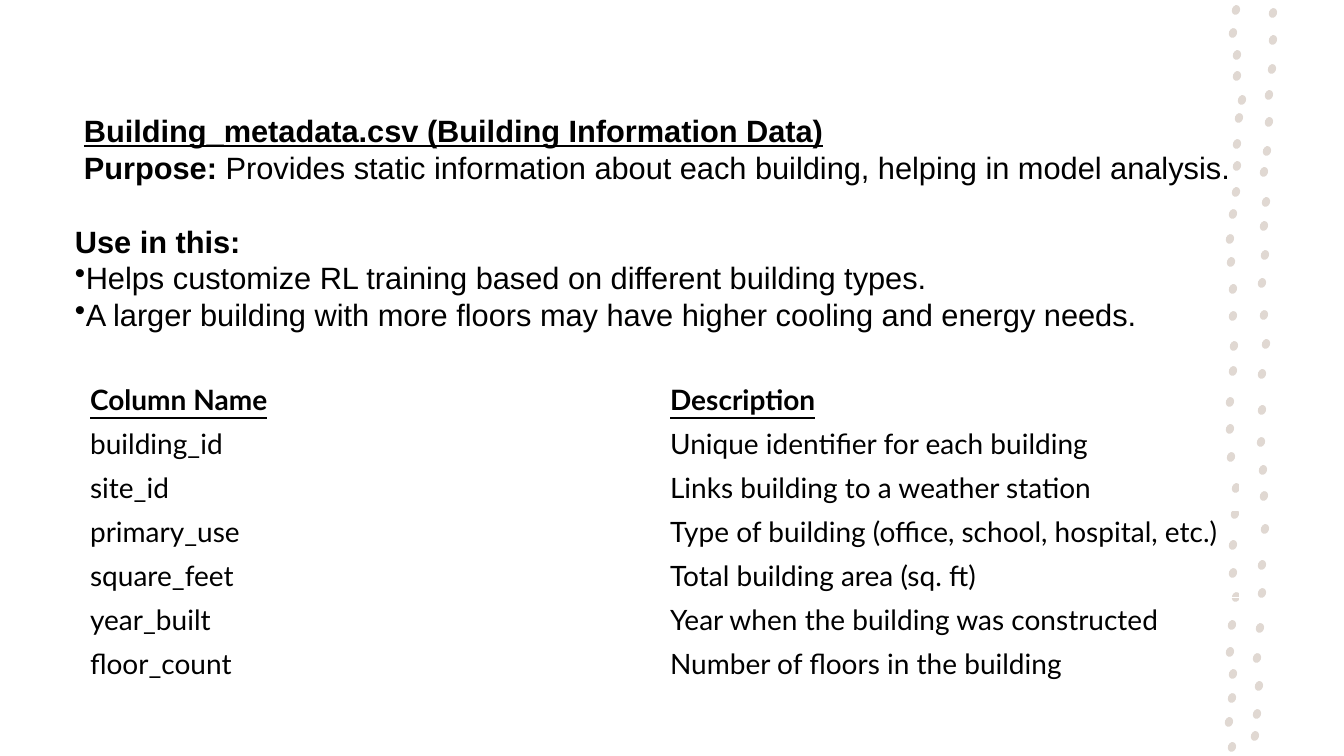
from dataclasses import dataclass

from pptx import Presentation
from pptx.dml.color import RGBColor
from pptx.enum.shapes import MSO_SHAPE
from pptx.enum.text import MSO_ANCHOR
from pptx.oxml.ns import qn
from pptx.util import Pt
from lxml.etree import SubElement

INTRO = [
    {"runs": [("Building_metadata.csv (Building Information Data)", True, True)], "indent": 9},
    {"runs": [
        ("Purpose: ", True, False),
        ("Provides static information about each building, helping in model analysis.", False, False),
    ], "indent": 9, "gap_after": 37},
    {"runs": [("Use in this:", True, False)]},
    {"runs": [("Helps customize RL training based on different building types.", False, False)],
     "bullet": True},
    {"runs": [("A larger building with more floors may have higher cooling and energy needs.",
               False, False)], "bullet": True},
]

COLUMNS = [
    ("Column Name", "Description"),
    ("building_id", "Unique identifier for each building"),
    ("site_id", "Links building to a weather station"),
    ("primary_use", "Type of building (office, school, hospital, etc.)"),
    ("square_feet", "Total building area (sq. ft)"),
    ("year_built", "Year when the building was constructed"),
    ("floor_count", "Number of floors in the building"),
]

LEFT_DOTS = [
    (1236, 10), (1233, 33), (1237, 55), (1237, 76), (1242, 100), (1239, 118),
    (1237, 144), (1237, 166), (1236, 192), (1233, 214), (1230, 239), (1231, 262),
    (1233, 289), (1233, 316), (1234, 346), (1233, 371), (1230, 402), (1230, 429),
    (1231, 457), (1236, 488), (1235, 514), (1233, 545), (1233, 573), (1236, 597),
    (1232, 625), (1230, 652), (1233, 674), (1232, 698), (1229, 722), (1232, 747),
]
RIGHT_DOTS = [
    (1273, 13), (1273, 40), (1272, 69), (1269, 95), (1269, 122), (1267, 151),
    (1264, 172), (1266, 202), (1264, 226), (1265, 255), (1262, 283), (1264, 315),
    (1266, 344), (1262, 374), (1262, 410), (1261, 442), (1263, 470), (1264, 496),
    (1265, 529), (1262, 565), (1262, 593), (1260, 628), (1257, 658), (1259, 686),
    (1257, 714), (1255, 736),
]
DOT_WIDTH, DOT_HEIGHT, DOT_TILT = 8, 10, 20

SLIDE_SIZE = (1344, 756)
INTRO_BOX = (65, 107, 1190, 271)
TABLE_LEFT, TABLE_TOP, TABLE_WIDTH, ROW_HEIGHT = 80, 378, 1160, 44


@dataclass(frozen=True)
class Theme:
    text: RGBColor = RGBColor(0x00, 0x00, 0x00)
    dot: RGBColor = RGBColor(0xE0, 0xD8, 0xD2)
    intro_font: str = "Arial"
    table_font: str = "Lato"
    intro_size: int = 22
    table_size: int = 20


THEME = Theme()


def px(length):
    return round(length * 914400 / 100.8)


def style_font(font, name, size):
    font.name = name
    font.size = Pt(size)
    font.color.rgb = THEME.text


def add_dots(slide):
    for center_x, center_y in LEFT_DOTS + RIGHT_DOTS:
        dot = slide.shapes.add_shape(
            MSO_SHAPE.OVAL,
            px(center_x - DOT_WIDTH / 2), px(center_y - DOT_HEIGHT / 2),
            px(DOT_WIDTH), px(DOT_HEIGHT))
        dot.rotation = DOT_TILT
        dot.shadow.inherit = False
        dot.fill.solid()
        dot.fill.fore_color.rgb = THEME.dot
        dot.line.fill.background()


def add_table(slide):
    table = slide.shapes.add_table(
        len(COLUMNS), len(COLUMNS[0]), px(TABLE_LEFT), px(TABLE_TOP),
        px(TABLE_WIDTH), px(ROW_HEIGHT * len(COLUMNS))).table
    table.first_row = False
    table.horz_banding = False
    for row_index, row in enumerate(COLUMNS):
        for column_index, text in enumerate(row):
            cell = table.cell(row_index, column_index)
            cell.text = text
            cell.fill.background()
            cell.vertical_anchor = MSO_ANCHOR.MIDDLE
            font = cell.text_frame.paragraphs[0].font
            style_font(font, THEME.table_font, THEME.table_size)
            font.bold = font.underline = row_index == 0


def add_intro(slide):
    frame = slide.shapes.add_textbox(*map(px, INTRO_BOX)).text_frame
    frame.word_wrap = True
    frame.vertical_anchor = MSO_ANCHOR.TOP
    for index, item in enumerate(INTRO):
        paragraph = frame.add_paragraph() if index else frame.paragraphs[0]
        style_font(paragraph.font, THEME.intro_font, THEME.intro_size)
        paragraph.space_after = Pt(round(item.get("gap_after", 0) / 1.4))
        properties = paragraph._p.get_or_add_pPr()
        properties.set("marL", str(px(item.get("indent", 0))))
        properties.set("indent", "0")
        if item.get("bullet"):
            bullet = SubElement(properties, qn("a:buChar"), char="•")
            properties.find(qn("a:defRPr")).addprevious(bullet)
        for text, bold, underline in item["runs"]:
            run = paragraph.add_run()
            run.text = text
            run.font.bold = bold
            run.font.underline = underline


def main():
    presentation = Presentation()
    presentation.slide_width, presentation.slide_height = map(px, SLIDE_SIZE)
    slide = presentation.slides.add_slide(presentation.slide_layouts[6])
    add_dots(slide)
    add_table(slide)
    add_intro(slide)
    presentation.save("out.pptx")


if __name__ == "__main__":
    main()
